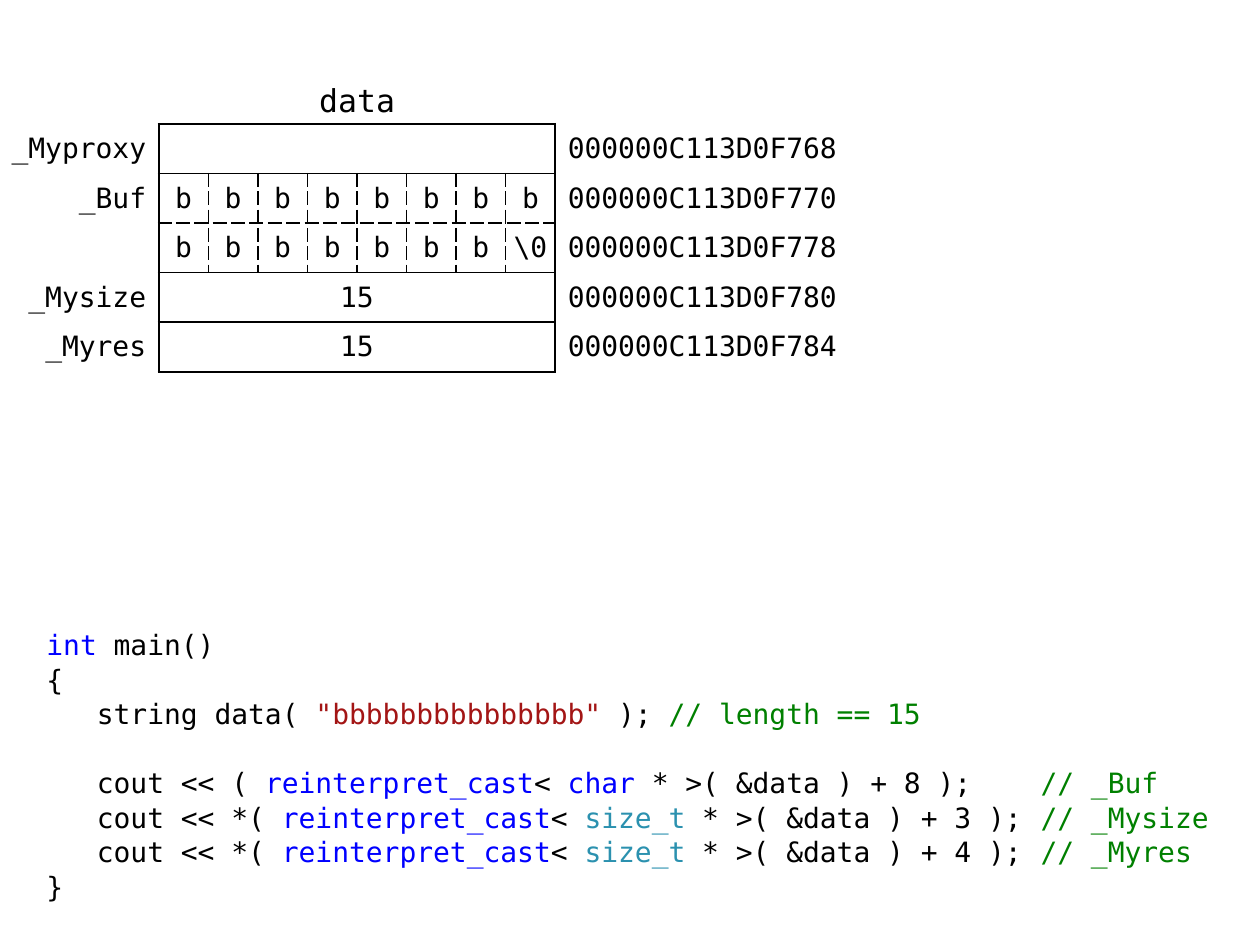
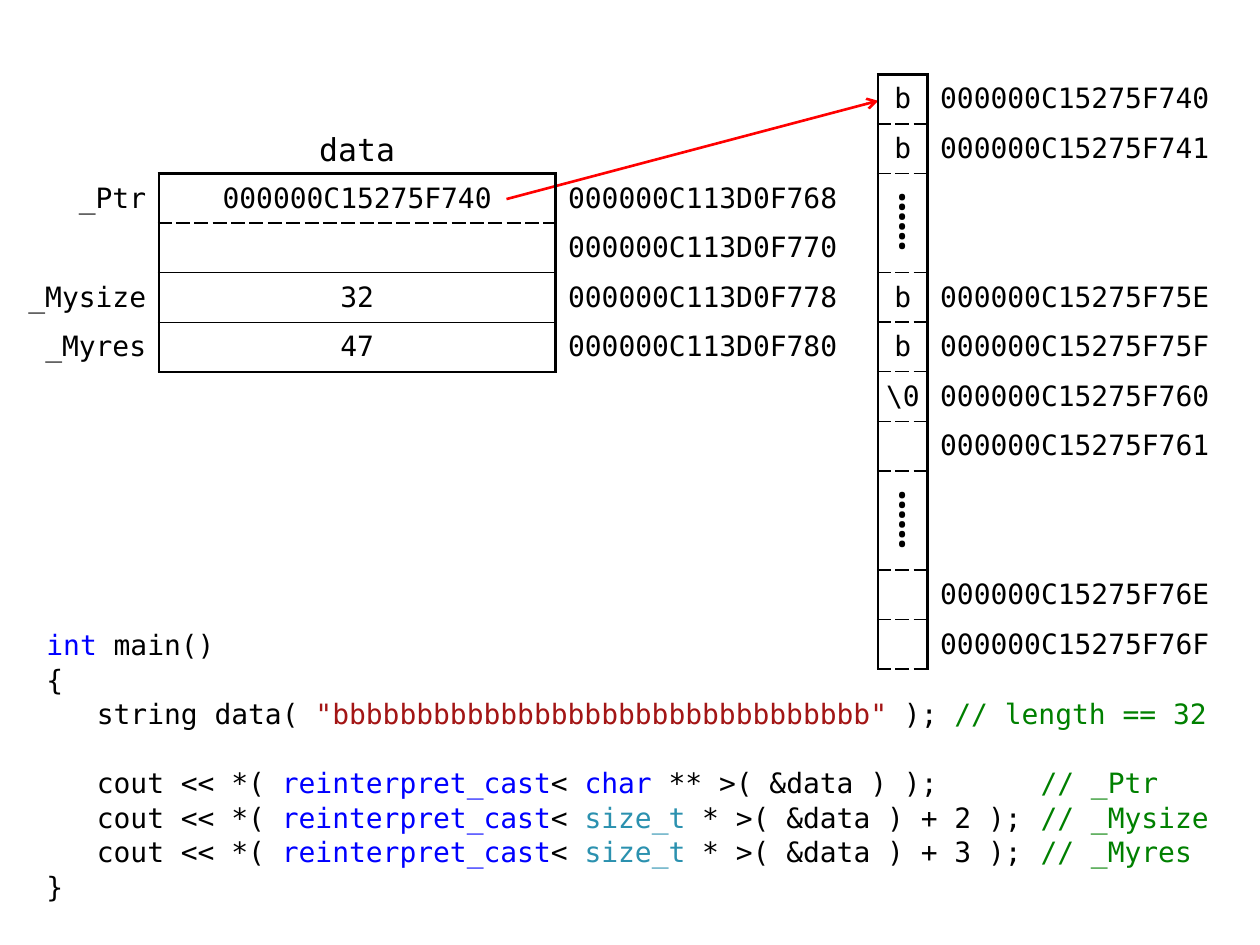
from typing import NamedTuple

from lxml import etree
from pptx import Presentation
from pptx.dml.color import RGBColor
from pptx.enum.shapes import MSO_CONNECTOR
from pptx.enum.text import MSO_ANCHOR, PP_ALIGN
from pptx.oxml.ns import qn
from pptx.util import Inches, Pt

LEFT, MID, RIGHT = PP_ALIGN.LEFT, PP_ALIGN.CENTER, PP_ALIGN.RIGHT
TOP, CENTRE = MSO_ANCHOR.TOP, MSO_ANCHOR.MIDDLE
STRAIGHT = MSO_CONNECTOR.STRAIGHT

COLORS = {
    "plain": "000000",
    "key": "0000FF",
    "type": "2B91AF",
    "text": "A31515",
    "note": "008000",
    "arrow": "FF0000",
}
MONO = {"name": "DejaVu Sans Mono", "size": Pt(16)}
HEAD = {**MONO, "size": Pt(18)}
DOTS = {"name": "Times New Roman", "size": Pt(28)}
GAP = "⸽"
STROKES = {"T": (1.5, "solid"), "S": (1, "solid"), "D": (1, "sysDash")}
SIDES = ("lnL", "lnR", "lnT", "lnB")
WIDE = 8


class Memory(NamedTuple):
    left: float
    top: float
    width: int
    rules: str
    labels: tuple
    body: tuple
    places: tuple


class Cast(NamedTuple):
    start: str
    kind: str
    tone: str
    rest: str
    note: str


class Code(NamedTuple):
    length: int
    casts: tuple


def cm(count: float) -> int:
    return Inches(count / 2.54)


def write(para, text: str, look: dict, tone: str = "plain") -> None:
    run = para.add_run()
    run.text = text
    for name, value in look.items():
        setattr(run.font, name, value)
    run.font.color.rgb = RGBColor.from_string(COLORS[tone])


def edge(cell, strokes: str) -> None:
    props = cell._tc.get_or_add_tcPr()
    for spot, (side, stroke) in enumerate(zip(SIDES, strokes)):
        line = etree.Element(qn("a:" + side))
        if stroke in STROKES:
            width, dash = STROKES[stroke]
            line.set("w", str(Pt(width)))
            fill = etree.SubElement(line, qn("a:solidFill"))
            etree.SubElement(fill, qn("a:srgbClr"), val=COLORS["plain"])
            etree.SubElement(line, qn("a:prstDash"), val=dash)
        else:
            etree.SubElement(line, qn("a:noFill"))
        props.insert(spot, line)


def put(cell, text: str, align, pads: tuple, strokes: str) -> None:
    look = {
        "margin_left": Inches(pads[0]),
        "margin_right": Inches(pads[1]),
        "margin_top": 0,
        "margin_bottom": 0,
        "vertical_anchor": CENTRE,
    }
    for name, value in look.items():
        setattr(cell, name, value)
    cell.fill.background()
    edge(cell, strokes)
    if text:
        para = cell.text_frame.paragraphs[0]
        para.alignment = align
        write(para, text, DOTS if text == GAP else MONO)


def fill_row(table, mem: Memory, row: int, first: int, count: int) -> None:
    items = mem.body[row]
    whole = len(items) < count
    tall = 2 if GAP in items else 1
    for col in range(count):
        left = "T" if whole or col == 0 else "D"
        right = "T" if whole or col == count - 1 else "D"
        strokes = left + right + mem.rules[row] + mem.rules[row + tall]
        for deep in range(tall):
            text = items[col] if col < len(items) and deep == 0 else ""
            put(table.cell(row + deep, first + col), text, MID, (0, 0), strokes)
    if whole or tall > 1:
        last = first if not whole else first + count - 1
        table.cell(row, first).merge(table.cell(row + tall - 1, last))


def draw_table(slide, mem: Memory) -> None:
    count = max(map(len, mem.body))
    first = 1 if mem.labels else 0
    widths = [3] * first + [mem.width / count] * count + [6]
    size = len(mem.body)
    frame = slide.shapes.add_table(
        size, len(widths), cm(mem.left), cm(mem.top), cm(sum(widths)), cm(size)
    )
    table = frame.table
    table.first_row = table.horz_banding = False
    for column, width in zip(table.columns, widths):
        column.width = cm(width)
    for row in range(size):
        table.rows[row].height = cm(1)
        if first:
            put(table.cell(row, 0), mem.labels[row], RIGHT, (0, 0.1), "-T--")
        if mem.body[row]:
            fill_row(table, mem, row, first, count)
        put(
            table.cell(row, first + count), mem.places[row], LEFT, (0.1, 0.08), "T---"
        )


def add_box(slide, left: int, top: int, width: int, height: int):
    frame = slide.shapes.add_textbox(left, top, width, height).text_frame
    frame.word_wrap = True
    frame.vertical_anchor = TOP
    return frame


def draw_head(slide, top: float) -> None:
    para = add_box(slide, cm(5.2), cm(top), cm(4), cm(1)).paragraphs[0]
    para.alignment = MID
    write(para, "data", HEAD)


def draw_code(slide, code: Code) -> None:
    lines = [
        [("int", "key"), (" main()", "plain")],
        [("{", "plain")],
        [
            ("   string data( ", "plain"),
            (f'"{"b" * code.length}"', "text"),
            (" ); ", "plain"),
            (f"// length == {code.length}", "note"),
        ],
    ]
    for cast in code.casts:
        lines.append([
            (f"   cout << {cast.start} ", "plain"),
            ("reinterpret_cast", "key"),
            ("< ", "plain"),
            (cast.kind, cast.tone),
            (f" {cast.rest}\t", "plain"),
            (f"// {cast.note}", "note"),
        ])
    lines.append([("}", "plain")])
    frame = add_box(slide, Inches(0.27), Inches(4.93), Inches(9.45), Inches(2.17))
    frame.margin_right = 0
    for spot, line in enumerate(lines):
        para = frame.add_paragraph() if spot else frame.paragraphs[0]
        props = para._p.get_or_add_pPr()
        tabs = etree.SubElement(props, qn("a:tabLst"))
        etree.SubElement(tabs, qn("a:tab"), pos=str(Inches(7.89)), algn="l")
        if spot:
            para.space_before = Pt(20) if spot == 3 else Pt(0.65)
        for text, tone in line:
            write(para, text, MONO, tone)


def draw_arrow(slide) -> None:
    link = slide.shapes.add_connector(
        STRAIGHT, Inches(4.02), Inches(1.58), Inches(6.97), Inches(0.8)
    )
    link.line.width = Pt(1.5)
    link.line.color.rgb = RGBColor.from_string(COLORS["arrow"])
    etree.SubElement(link.line._get_or_add_ln(), qn("a:tailEnd"), type="arrow")
    etree.SubElement(link._element.spPr, qn("a:effectLst"))


SHORT = Memory(
    0.2, 2.5, WIDE, "TSDSST",
    ("_Myproxy", "_Buf", "", "_Mysize", "_Myres"),
    (("",), ("b",) * 8, ("b",) * 7 + ("\\0",), ("15",), ("15",)),
    tuple("000000C113D0F7" + end for end in ("68", "70", "78", "80", "84")),
)
LONG = Memory(
    0.2, 3.5, WIDE, "TDSST",
    ("_Ptr", "", "_Mysize", "_Myres"),
    (("000000C15275F740",), ("",), ("32",), ("47",)),
    tuple("000000C113D0F7" + end for end in ("68", "70", "78", "80")),
)
HEAP = Memory(
    17.7, 1.5, 1, "T" + "D" * 12,
    (),
    (
        ("b",), ("b",), (GAP,), (), ("b",), ("b",),
        ("\\0",), ("",), (GAP,), (), ("",), ("",),
    ),
    tuple(
        end and "000000C15275F7" + end
        for end in (
            "40", "41", "", "", "5E", "5F", "60", "61", "", "", "6E", "6F"
        )
    ),
)


def size_cast(step: int, note: str) -> Cast:
    return Cast("*(", "size_t", "type", f"* >( &data ) + {step} );", note)


SHORT_CODE = Code(15, (
    Cast("(", "char", "key", "* >( &data ) + 8 );", "_Buf"),
    size_cast(3, "_Mysize"),
    size_cast(4, "_Myres"),
))
LONG_CODE = Code(32, (
    Cast("*(", "char", "key", "** >( &data ) );", "_Ptr"),
    size_cast(2, "_Mysize"),
    size_cast(3, "_Myres"),
))


def main() -> None:
    deck = Presentation()
    deck.slide_width, deck.slide_height = Inches(10), Inches(7.5)
    blank = deck.slide_layouts[6]
    for code, tables in ((SHORT_CODE, (SHORT,)), (LONG_CODE, (LONG, HEAP))):
        slide = deck.slides.add_slide(blank)
        draw_code(slide, code)
        if HEAP in tables:
            draw_arrow(slide)
        for mem in tables:
            draw_table(slide, mem)
        draw_head(slide, tables[0].top - 1)
    deck.save("out.pptx")


if __name__ == "__main__":
    main()
